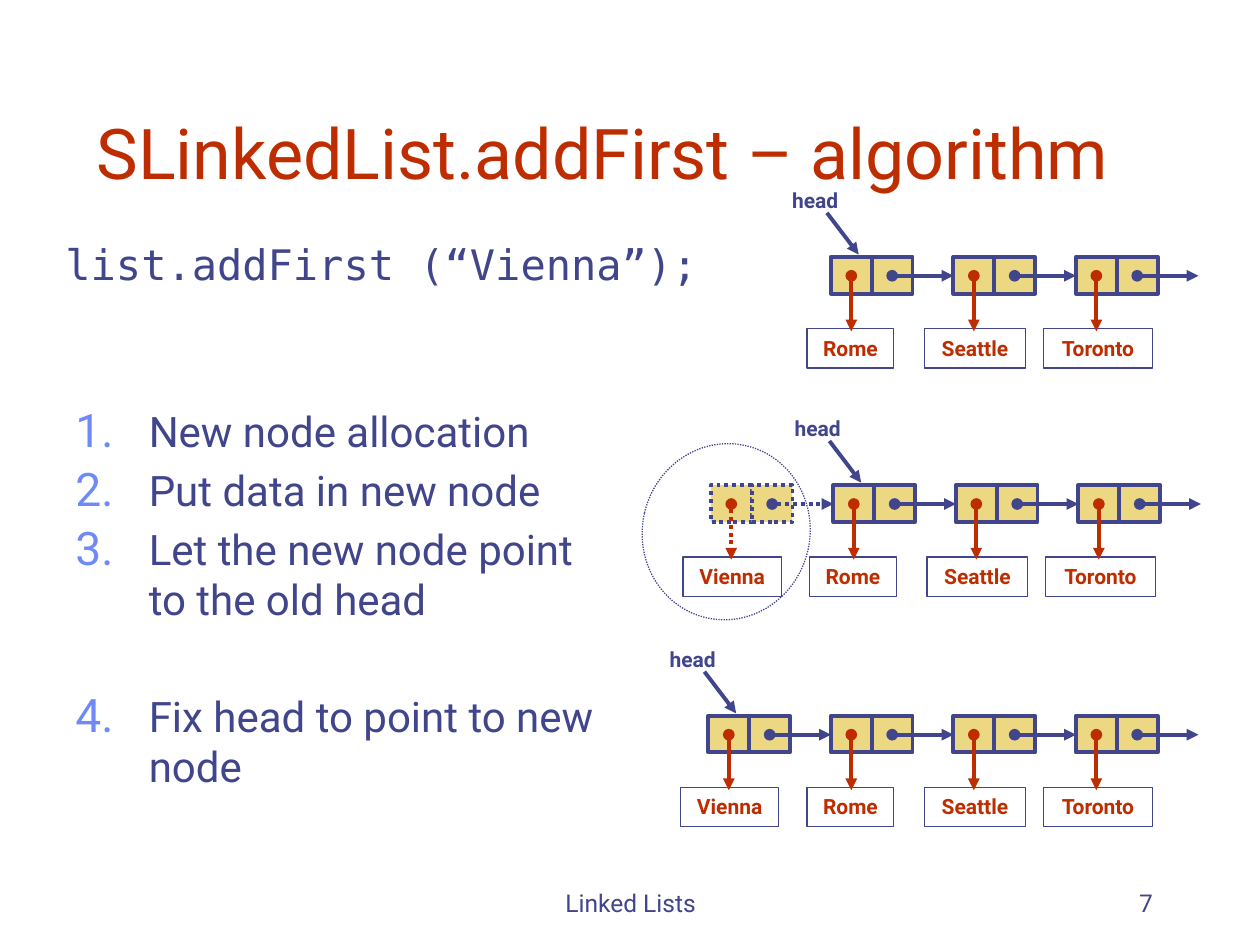
from dataclasses import dataclass

from lxml import etree
from pptx import Presentation
from pptx import util as u
from pptx.dml.color import RGBColor
from pptx.enum import dml, shapes, text
from pptx.oxml.ns import qn

Cm = u.Cm


@dataclass(frozen=True)
class Theme:
    ink: RGBColor = RGBColor.from_string("40458C")
    accent: RGBColor = RGBColor.from_string("BE2D00")
    cell: RGBColor = RGBColor.from_string("ECD882")
    number: str = "6F89F7"
    font: str = "Roboto"
    code_font: str = "DejaVu Sans Mono"
    title_size: int = 40
    body_size: int = 24
    footer_size: int = 14
    label_size: int = 12
    thick: float = 2.25
    thin: float = 0.75


THEME = Theme()

# Node measures in centimetres
PITCH = 2.47
CELL_WIDTH = PITCH / 3
CELL_HEIGHT = 0.74
DOT_Y = 0.38
DATA_ARROW = 1.12
LABEL_TOP, LABEL_HEIGHT = 1.45, 0.79
LABEL_BOXES = {  # left edge relative to the node, width
    "Vienna": (-0.56, 1.98),
    "Rome": (-0.48, 1.75),
    "Seattle": (-0.58, 2.03),
    "Toronto": (-0.66, 2.21),
}
CITIES = ["Rome", "Seattle", "Toronto"]


def add_run(paragraph, words, size, color, font=THEME.font, bold=False):
    run = paragraph.add_run()
    run.text = words
    run.font.name = font
    run.font.size = u.Pt(size)
    run.font.bold = bold
    run.font.color.rgb = color


def add_text_box(slide, left, top, width, height,
                 anchor=text.MSO_ANCHOR.TOP, wrap=True):
    box = slide.shapes.add_textbox(Cm(left), Cm(top), Cm(width), Cm(height))
    box.text_frame.word_wrap = wrap
    box.text_frame.vertical_anchor = anchor
    return box.text_frame


def add_line_of_text(slide, bounds, words, size, color, align,
                     anchor=text.MSO_ANCHOR.BOTTOM, wrap=True, **style):
    frame = add_text_box(slide, *bounds, anchor=anchor, wrap=wrap)
    paragraph = frame.paragraphs[0]
    paragraph.alignment = align
    add_run(paragraph, words, size, color, **style)
    return paragraph


def add_numbered_list(slide, bounds, items):
    """Items are pairs of wording and space before in points."""
    frame = add_text_box(slide, *bounds)
    for index, (words, space) in enumerate(items):
        paragraph = frame.add_paragraph() if index else frame.paragraphs[0]
        paragraph.space_before = u.Pt(space)
        properties = paragraph._p.get_or_add_pPr()
        properties.set("marL", str(Cm(1.48)))
        properties.set("indent", str(Cm(-1.48)))
        color = etree.SubElement(properties, qn("a:buClr"))
        etree.SubElement(color, qn("a:srgbClr"), val=THEME.number)
        etree.SubElement(properties, qn("a:buSzPct"), val="110000")
        etree.SubElement(properties, qn("a:buFont"), typeface=THEME.font)
        etree.SubElement(properties, qn("a:buAutoNum"), type="arabicPeriod")
        add_run(paragraph, words, THEME.body_size, THEME.ink)


def style_line(line, color, width, dotted):
    line.color.rgb = color
    line.width = u.Pt(width)
    if dotted:
        line.dash_style = dml.MSO_LINE.ROUND_DOT


def add_outline(slide, kind, left, top, width, height,
                line_width, fill=None, dotted=False):
    shape = slide.shapes.add_shape(kind, Cm(left), Cm(top), Cm(width), Cm(height))
    shape.shadow.inherit = False
    if fill is None:
        shape.fill.background()
    else:
        shape.fill.solid()
        shape.fill.fore_color.rgb = fill
    style_line(shape.line, THEME.ink, line_width, dotted)
    return shape


def add_arrow(slide, start, end, color, dot=True, dotted=False):
    arrow = slide.shapes.add_connector(
        shapes.MSO_CONNECTOR.STRAIGHT, *map(Cm, start + end))
    style_line(arrow.line, color, THEME.thick, dotted)
    line = arrow.line._get_or_add_ln()
    if dot:
        etree.SubElement(line, qn("a:headEnd"), type="oval")
    etree.SubElement(line, qn("a:tailEnd"), type="triangle")
    etree.SubElement(arrow._element.spPr, qn("a:effectLst"))


def add_node(slide, left, top, city, dotted=False):
    """Two cells, a red arrow down to the city and a link to the next node."""
    rectangle = shapes.MSO_SHAPE.RECTANGLE
    for column in range(2):
        add_outline(slide, rectangle, left + column * CELL_WIDTH, top,
                    CELL_WIDTH, CELL_HEIGHT, THEME.thick, THEME.cell, dotted)
    offset, width = LABEL_BOXES[city]
    label = add_outline(slide, rectangle, left + offset, top + LABEL_TOP,
                        width, LABEL_HEIGHT, THEME.thin)
    frame = label.text_frame
    frame.word_wrap = False
    frame.vertical_anchor = text.MSO_ANCHOR.TOP
    frame.paragraphs[0].alignment = text.PP_ALIGN.CENTER
    add_run(frame.paragraphs[0], city, THEME.label_size, THEME.accent, bold=True)

    data_x, link_x, dot_y = left + CELL_WIDTH / 2, left + CELL_WIDTH * 1.5, top + DOT_Y
    add_arrow(slide, (data_x, dot_y), (data_x, dot_y + DATA_ARROW),
              THEME.accent, dotted=dotted)
    add_arrow(slide, (link_x, dot_y), (left + PITCH, dot_y),
              THEME.ink, dotted=dotted)


def add_linked_list(slide, left, top, cities):
    for index, city in enumerate(cities):
        add_node(slide, left + index * PITCH, top, city)
    add_arrow(slide, (left - 0.08, top - 0.89), (left + 0.56, top - 0.05),
              THEME.ink, dot=False)
    add_line_of_text(slide, (left - 1.09, top - 1.52, 1.55, 0.76), "head",
                     THEME.label_size, THEME.ink, text.PP_ALIGN.CENTER,
                     anchor=text.MSO_ANCHOR.TOP, wrap=False, bold=True)


def main():
    presentation = Presentation()
    presentation.slide_width, presentation.slide_height = Cm(25.4), Cm(19.05)
    slide = presentation.slides.add_slide(presentation.slide_layouts[6])
    align = text.PP_ALIGN

    add_line_of_text(slide, (1.7, 0.84, 21.59, 3.18),
                     "SLinkedList.addFirst – algorithm",
                     THEME.title_size, THEME.accent, align.LEFT)
    code = add_line_of_text(slide, (1.07, 4.88, 26.67, 1.47),
                            "list.addFirst (“Vienna”);",
                            THEME.body_size, THEME.ink, align.LEFT,
                            anchor=text.MSO_ANCHOR.TOP, font=THEME.code_font)
    code.line_spacing = 0.8
    add_numbered_list(slide, (1.27, 8.05, 11.23, 9.09), [
        ("New node allocation", 0),
        ("Put data in new node", 4.8),
        ("Let the new node point to the old head", 4.8),
        ("Fix head to point to new node", 38),
    ])

    add_linked_list(slide, 16.75, 5.18, CITIES)

    add_node(slide, 16.8 - PITCH, 9.78, "Vienna", dotted=True)
    circle = add_outline(slide, shapes.MSO_SHAPE.OVAL, 12.95, 8.94, 3.38, 3.56,
                         THEME.thin, dotted=True)
    circle.rotation = 13
    add_linked_list(slide, 16.8, 9.78, CITIES)

    add_linked_list(slide, 16.75 - PITCH, 14.43, ["Vienna"] + CITIES)

    add_line_of_text(slide, (8.69, 17.35, 8.05, 1.27), "Linked Lists",
                     THEME.footer_size, THEME.ink, align.CENTER)
    add_line_of_text(slide, (18.21, 17.35, 5.28, 1.27), "7",
                     THEME.footer_size, THEME.ink, align.RIGHT)
    presentation.save("out.pptx")


if __name__ == "__main__":
    main()
